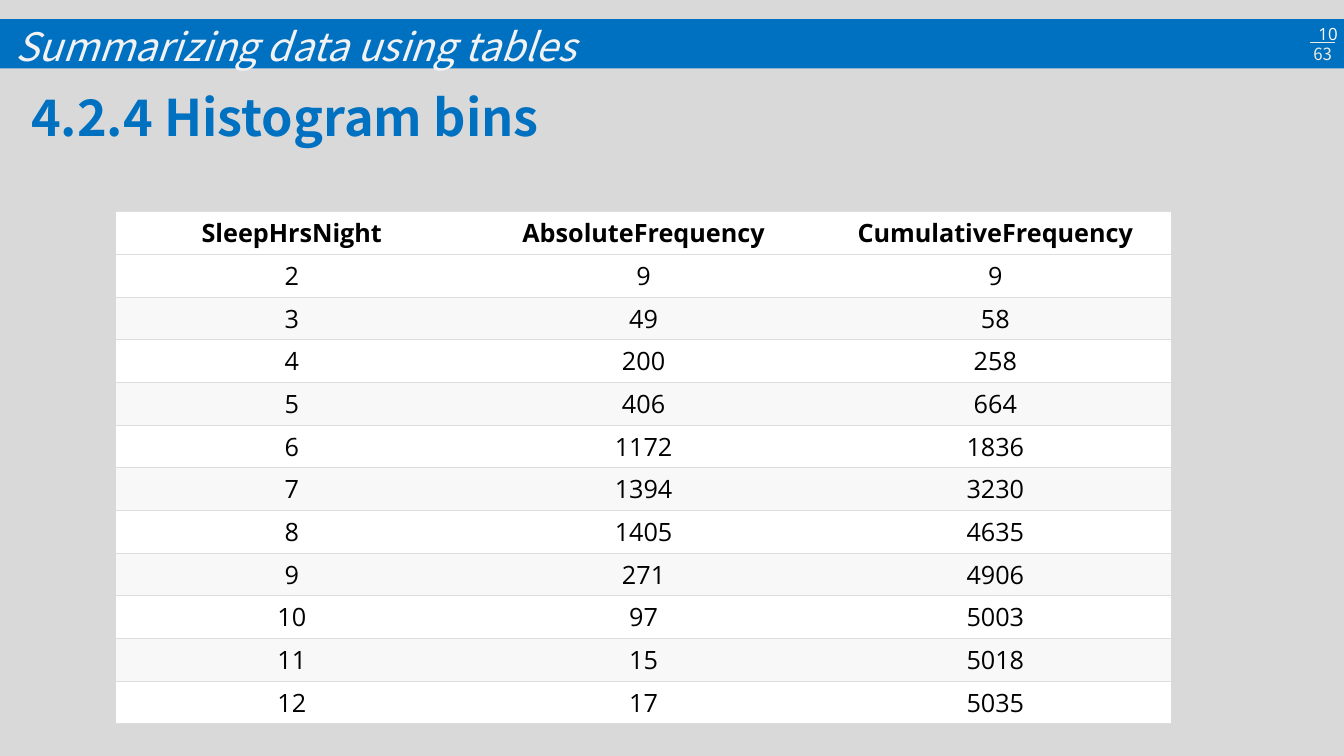
"""Build the histogram bins slide with a frequency table."""
from itertools import accumulate

from lxml import etree
from pptx import Presentation
from pptx.dml.color import RGBColor
from pptx.enum.shapes import MSO_CONNECTOR, MSO_SHAPE
from pptx.enum.text import MSO_ANCHOR, MSO_AUTO_SIZE, PP_ALIGN
from pptx.oxml.ns import qn
from pptx.util import Pt

TITLE = "Summarizing data using tables"
HEADING = "4.2.4\u00a0Histogram bins"
PAGE, PAGES = "10", "63"
HEADER = ("SleepHrsNight", "AbsoluteFrequency", "CumulativeFrequency")
HOURS = range(2, 13)
COUNTS = (9, 49, 200, 406, 1172, 1394, 1405, 271, 97, 15, 17)
ROWS = [HEADER, *zip(HOURS, COUNTS, accumulate(COUNTS))]

BLUE = RGBColor(0x00, 0x70, 0xC0)
GREY = RGBColor(0xD9, 0xD9, 0xD9)
BAND = RGBColor(0xF8, 0xF8, 0xF8)
RULE = RGBColor(0xDD, 0xDD, 0xDD)
CREAM = RGBColor(0xEE, 0xEC, 0xE1)
PALE = RGBColor(0xF2, 0xF2, 0xF2)
WHITE = RGBColor(0xFF, 0xFF, 0xFF)
BLACK = RGBColor(0x00, 0x00, 0x00)
HEAD_FONT, BODY_FONT = "Noto Sans CJK JP", "Open Sans"
LEFT, CENTER = PP_ALIGN.LEFT, PP_ALIGN.CENTER
TOP, MIDDLE = MSO_ANCHOR.TOP, MSO_ANCHOR.MIDDLE
NO_FIT = MSO_AUTO_SIZE.NONE
RECT, STRAIGHT = MSO_SHAPE.RECTANGLE, MSO_CONNECTOR.STRAIGHT

WIDTH, HEIGHT = 960, 540
TABLE_LEFT, TABLE_TOP = 82.8, 151.2
COL_WIDTH, ROW_HEIGHT = 251.28, 30.48


def write(tf, text, font, size, color, bold=False, italic=False, align=LEFT):
    tf.text = text
    p = tf.paragraphs[0]
    p.alignment = align
    f = p.runs[0].font
    f.name, f.size, f.bold, f.italic = font, Pt(size), bold, italic
    f.color.rgb = color
    return p


def add_text(s, box, text, font, size, color, bold=False, anchor=TOP):
    tf = s.shapes.add_textbox(*map(Pt, box)).text_frame
    tf.word_wrap = True
    tf.vertical_anchor = anchor
    write(tf, text, font, size, color, bold)
    return tf


def set_borders(cell, bottom):
    tc_pr = cell._tc.get_or_add_tcPr()
    for i, (side, width) in enumerate(zip("LRTB", (0, 0, 0.5, bottom))):
        ln = etree.Element(qn(f"a:ln{side}"), w=str(Pt(width)))
        if width:
            fill = etree.SubElement(ln, qn("a:solidFill"))
            etree.SubElement(fill, qn("a:srgbClr"), val=str(RULE))
        else:
            etree.SubElement(ln, qn("a:noFill"))
        tc_pr.insert(i, ln)


prs = Presentation()
prs.slide_width, prs.slide_height = Pt(WIDTH), Pt(HEIGHT)
s = prs.slides.add_slide(prs.slide_layouts[5])
s.background.fill.solid()
s.background.fill.fore_color.rgb = GREY

bar = s.shapes.add_shape(RECT, 0, Pt(13.7), Pt(WIDTH), Pt(35.2))
bar.shadow.inherit = False
bar.fill.solid()
bar.fill.fore_color.rgb = BLUE
bar.line.fill.background()

title = s.shapes.title
title.element.addprevious(bar.element)
title.left, title.top, title.width, title.height = map(Pt, (3.6, 22.3, 873.4, 26.6))
tf = title.text_frame
tf.auto_size, tf.vertical_anchor = NO_FIT, MIDDLE
write(tf, TITLE, HEAD_FONT, 28, PALE, italic=True).line_spacing = 0.85

add_text(s, (931, 27.4, 34.6, 21.6), PAGES, HEAD_FONT, 12, CREAM)
line = s.shapes.add_connector(STRAIGHT, Pt(936), Pt(30.2), Pt(953.3), Pt(30.2))
line.line.color.rgb, line.line.width = CREAM, Pt(0.75)
etree.SubElement(line.element.spPr, qn("a:effectLst"))
tf = add_text(s, (938.2, 9.4, 25.9, 28.8), PAGE, BODY_FONT, 12, WHITE, anchor=MIDDLE)
tf.margin_left = Pt(3.6)

frame = s.shapes.add_table(
    len(ROWS), len(HEADER), Pt(TABLE_LEFT), Pt(TABLE_TOP),
    Pt(COL_WIDTH * len(HEADER)), Pt(ROW_HEIGHT * len(ROWS)))
table = frame.table
table.first_row = table.horz_banding = False
for r, values in enumerate(ROWS):
    for c, value in enumerate(values):
        cell = table.cell(r, c)
        cell.vertical_anchor = MIDDLE
        cell.margin_left = cell.margin_right = Pt(6.5)
        cell.margin_top = cell.margin_bottom = Pt(2.9)
        cell.fill.solid()
        cell.fill.fore_color.rgb = BAND if r and r % 2 == 0 else WHITE
        set_borders(cell, 1 if r == len(ROWS) - 1 else 0.5)
        write(cell.text_frame, str(value), BODY_FONT, 18, BLACK,
              bold=r == 0, align=CENTER)

add_text(s, (15.1, 57.6, 708.5, 51.1), HEADING, HEAD_FONT, 36, BLUE, bold=True)

prs.save("out.pptx")
